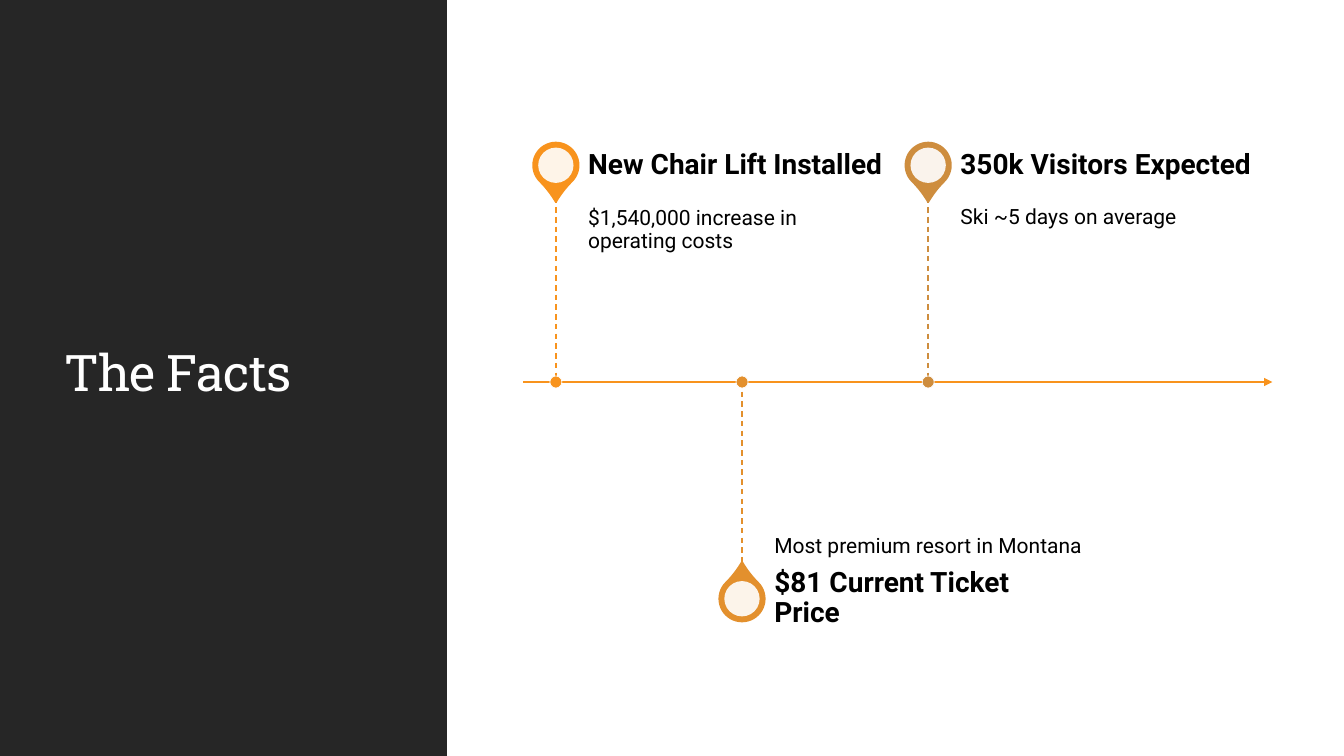
from collections import namedtuple

from lxml.etree import SubElement
from pptx import Presentation
from pptx.dml.color import RGBColor
from pptx.enum.dml import MSO_LINE as Dash
from pptx.enum.shapes import MSO_CONNECTOR as Connector, MSO_SHAPE as Shape
from pptx.enum.text import MSO_ANCHOR as Anchor, PP_ALIGN as Align
from pptx.oxml.ns import qn
from pptx.util import Inches, Pt

WIDTH, HEIGHT = Inches(13.33), Inches(7.5)
COLORS = {"dark": "262626", "white": "FFFFFF", "black": "000000",
          "orange": "F8931D", "amber": "E3902D", "bronze": "CE8D3E"}
FACTS = [
    ("New Chair Lift Installed", "$1,540,000 increase in operating costs", "orange"),
    ("$81 Current Ticket Price", "Most premium resort in Montana", "amber"),
    ("350k Visitors Expected", "Ski ~5 days on average", "bronze"),
]
Box = namedtuple("Box", "left top width height")


def across(percent):
    """Return a share of the slide's width."""
    return round(WIDTH * percent / 100)


def down(percent):
    """Return a share of the slide's height."""
    return round(HEIGHT * percent / 100)


def color(name):
    """Look up a named colour."""
    return RGBColor.from_string(COLORS[name])


def add_filled(slide, kind, box, fill, line=None, weight=0):
    """Add a preset shape with a plain fill and an optional outline."""
    shape = slide.shapes.add_shape(kind, *box)
    shape.shadow.inherit = False
    shape.fill.solid()
    shape.fill.fore_color.rgb = color(fill)
    if line:
        shape.line.color.rgb = color(line)
        shape.line.width = Pt(weight)
    else:
        shape.line.fill.background()
    return shape


def add_round(slide, kind, x, y, size, fill, line=None, weight=0):
    """Add a shape of equal sides centred on a point."""
    box = Box(x - size // 2, y - size // 2, size, size)
    return add_filled(slide, kind, box, fill, line, weight)


def add_line(slide, start, end, name, weight):
    """Add a straight line without a shadow."""
    line = slide.shapes.add_connector(Connector.STRAIGHT, *start, *end)
    line.line.color.rgb = color(name)
    line.line.width = Pt(weight)
    SubElement(line.element.spPr, qn("a:effectLst"))
    return line


def style_text(frame, text, size, font, name, anchor, bold=False):
    """Write one formatted paragraph and return it."""
    frame.word_wrap = True
    frame.vertical_anchor = anchor
    para = frame.paragraphs[0]
    para.text = text
    para.alignment = Align.LEFT
    para.line_spacing = 0.9
    para.font.size = Pt(size)
    para.font.name = font
    para.font.bold = bold
    para.font.color.rgb = color(name)
    return para


def add_label(slide, box, insets, text, size, anchor, bold=False):
    """Add a text box with its own insets."""
    frame = slide.shapes.add_textbox(*box).text_frame
    frame.margin_left, frame.margin_top, frame.margin_right, frame.margin_bottom = insets
    style_text(frame, text, size, "Roboto", "black", anchor, bold)


def build_title_panel(slide, box):
    """Fill the dark side panel and place the title on it."""
    panel = add_filled(slide, Shape.RECTANGLE, box, "dark")
    title = slide.shapes.title
    panel.element.addnext(title.element)
    title.left, title.top = box.left + across(4.05), box.top + down(7.6)
    title.width, title.height = across(25.28), down(84.13)
    para = style_text(title.text_frame, "The Facts", 36, "Roboto Slab", "white", Anchor.MIDDLE)
    for span in para.runs:
        span.font.element.set("spc", "-50") if hasattr(span.font, "element") else \
            span._r.get_or_add_rPr().set("spc", "-50")


def build_fact(slide, x, axis, above, heading, detail, name):
    """Place one pin, its stem, its dot and its texts above or below the axis."""
    side = -1 if above else 1
    stem, head, text_width = down(24.4), down(8.53), across(23.1)
    pin_y, text_x = axis + side * down(28.67), x + across(2.4)
    pin = add_round(slide, Shape.TEAR, x, pin_y, down(6), name, name, 1.25)
    pin.adjustments[0] = 1.15
    pin.rotation = 135 if above else 315
    hole = add_round(slide, Shape.OVAL, x, pin_y, down(4.67), "white")
    tint = hole.fill._xPr.find(qn("a:solidFill"))[0]
    SubElement(tint, qn("a:alpha")).set("val", "90000")

    detail_top = axis - stem if above else axis
    heading_top = axis - stem - head if above else axis + stem
    near, far = down(1.33), down(2.13)
    insets = (0, near, near, far) if above else (0, far, 0, near)
    add_label(slide, Box(text_x, detail_top, text_width, stem), insets,
              detail, 15, Anchor.TOP if above else Anchor.BOTTOM)
    add_label(slide, Box(text_x, heading_top, text_width, head), (0, 0, down(1.87), 0),
              heading, 20, Anchor.MIDDLE, True)

    ends = sorted([axis, axis + side * stem])
    add_line(slide, (x, ends[0]), (x, ends[1]), name, 1).line.dash_style = Dash.DASH
    add_round(slide, Shape.OVAL, x, axis, down(1.6), name, "white", 0.5)


def build_timeline(slide, box):
    """Draw the arrow through the box's middle and the facts on alternate sides."""
    axis = box.top + box.height // 2
    arrow = add_line(slide, (box.left, axis), (box.left + box.width, axis), "orange", 1.5)
    SubElement(arrow.line._get_or_add_ln(), qn("a:tailEnd")).set("type", "triangle")
    for index, fact in enumerate(FACTS):
        x = box.left + across(2.43 + 13.85 * index)
        build_fact(slide, x, axis, index % 2 == 0, *fact)


def main():
    """Build and save the deck."""
    deck = Presentation()
    deck.slide_width, deck.slide_height = WIDTH, HEIGHT
    slide = deck.slides.add_slide(deck.slide_layouts[5])
    build_title_panel(slide, Box(0, 0, across(33.25), HEIGHT))
    build_timeline(slide, Box(across(38.93), down(17.6), across(55.74), down(65.86)))
    deck.save("out.pptx")


if __name__ == "__main__":
    main()
